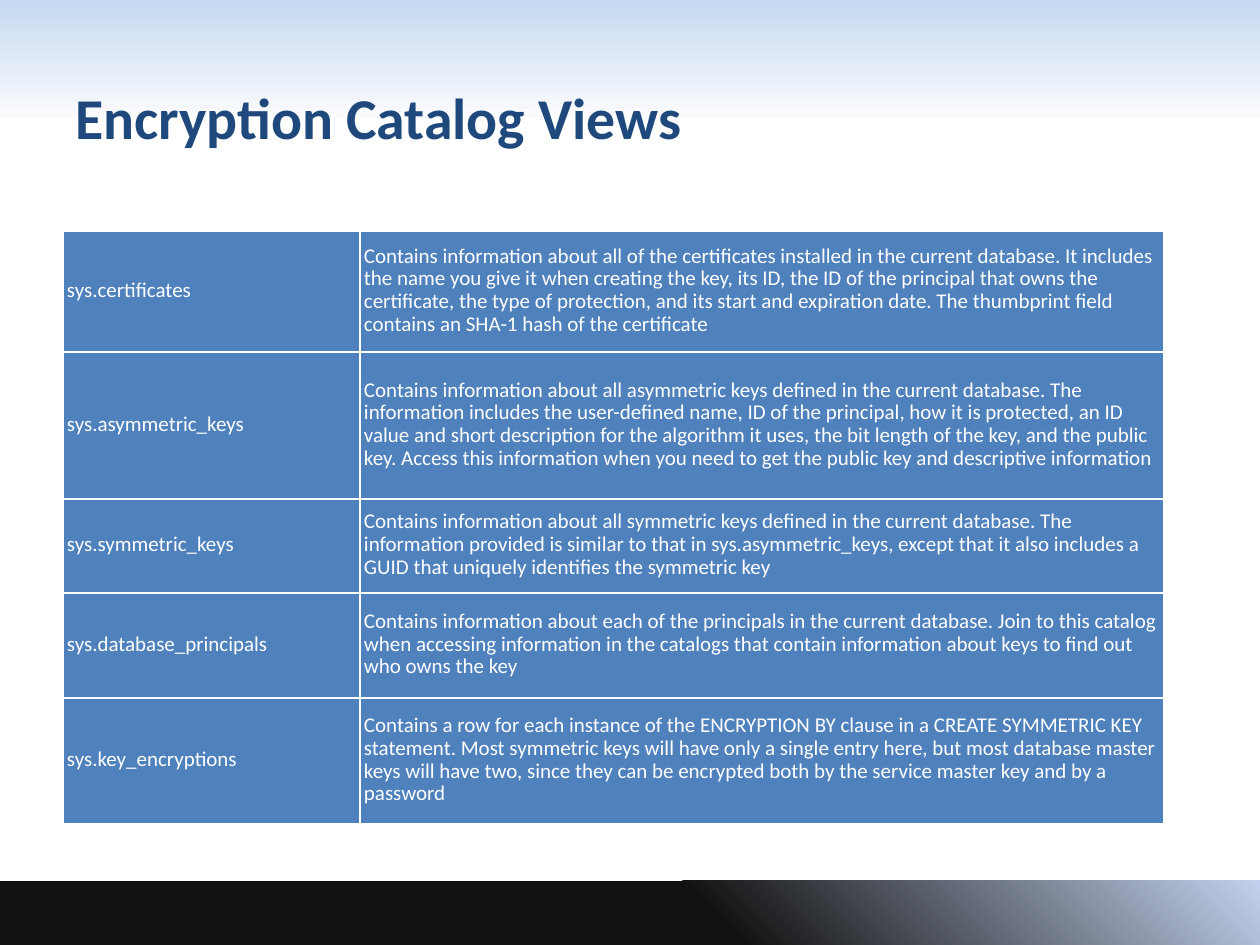
import pptx
import pptx.dml.color
import pptx.enum.shapes
import pptx.enum.text
import pptx.oxml
import pptx.oxml.ns
import pptx.util

# Content: catalog view, description, row height in px
TITLE = "Encryption Catalog Views"
VIEWS = [
    ("sys.certificates",
     "Contains information about all of the certificates installed in the current database. "
     "It includes the name you give it when creating the key, its ID, the ID of the principal "
     "that owns the certificate, the type of protection, and its start and expiration date. "
     "The thumbprint field contains an SHA-1 hash of the certificate", 121),
    ("sys.asymmetric_keys",
     "Contains information about all asymmetric keys defined in the current database. "
     "The information includes the user-defined name, ID of the principal, how it is protected, "
     "an ID value and short description for the algorithm it uses, the bit length of the key, "
     "and the public key. Access this information when you need to get the public key and "
     "descriptive information", 147),
    ("sys.symmetric_keys",
     "Contains information about all symmetric keys defined in the current database. "
     "The information provided is similar to that in sys.asymmetric_keys, except that it also "
     "includes a GUID that uniquely identifies the symmetric key", 94),
    ("sys.database_principals",
     "Contains information about each of the principals in the current database. Join to this "
     "catalog when accessing information in the catalogs that contain information about keys "
     "to find out who owns the key", 105),
    ("sys.key_encryptions",
     "Contains a row for each instance of the ENCRYPTION BY clause in a CREATE SYMMETRIC KEY "
     "statement. Most symmetric keys will have only a single entry here, but most database "
     "master keys will have two, since they can be encrypted both by the service master key "
     "and by a password", 126),
]
COLUMNS = (297, 804)
TABLE_AT = (63, 231)
TITLE_BOX = (63, 38, 1134, 157)

# Bands: box in px, (position, colour) stops, counter-clockwise angle
BANDS = [
    ((0, 0, 1260, 118), ((0, "C6D9F1"), (1, "FAFBFD")), 270),
    ((0, 881, 1260, 64), ((0.56, "111111"), (1, "C2D1ED")), 45),
]

THEME = {
    "title": {"name": "Calibri", "size": 33, "bold": True, "color": "1F497D"},
    "cell": {"name": "Calibri", "size": 12, "bold": False, "color": "FFFFFF"},
    "cell_fill": "4F81BD",
    "border": "FFFFFF",
}


def px(length):
    return pptx.util.Emu(length * 914400 // 126)


def rgb(code):
    return pptx.dml.color.RGBColor.from_string(code)


def set_all(target, values):
    for name, value in values.items():
        setattr(target, name, value)


def set_font(font, style):
    set_all(font, {"name": style["name"], "size": pptx.util.Pt(style["size"]),
                   "bold": style["bold"]})
    font.color.rgb = rgb(style["color"])


def add_band(slide, box, stops, angle):
    band = slide.shapes.add_shape(
        pptx.enum.shapes.MSO_SHAPE.RECTANGLE, *map(px, box))
    band.shadow.inherit = False
    band.line.fill.background()
    band.fill.gradient()
    band.fill.gradient_angle = angle
    for stop, (position, color) in zip(band.fill.gradient_stops, stops):
        stop.color.rgb = rgb(color)
        stop.position = position


def add_borders(cell):
    # Borders come before the fill in the cell properties
    properties = cell._tc.get_or_add_tcPr()
    for index, side in enumerate(("lnL", "lnR", "lnT", "lnB")):
        properties.insert(index, pptx.oxml.parse_xml(
            f'<a:{side} {pptx.oxml.ns.nsdecls("a")} w="12700"><a:solidFill>'
            f'<a:srgbClr val="{THEME["border"]}"/></a:solidFill></a:{side}>'))


def fill_cell(cell, text):
    cell.text = text
    set_all(cell, {"margin_left": px(4), "margin_right": px(4),
                   "margin_top": 0, "margin_bottom": 0,
                   "vertical_anchor": pptx.enum.text.MSO_ANCHOR.MIDDLE})
    cell.fill.solid()
    cell.fill.fore_color.rgb = rgb(THEME["cell_fill"])
    add_borders(cell)
    paragraph = cell.text_frame.paragraphs[0]
    set_all(paragraph, {"line_spacing": pptx.util.Pt(13), "space_after": pptx.util.Pt(3)})
    set_font(paragraph.runs[0].font, THEME["cell"])


def main():
    deck = pptx.Presentation()
    set_all(deck, {"slide_width": px(1260), "slide_height": px(945)})
    slide = deck.slides.add_slide(deck.slide_layouts[5])

    # Background bands
    for band in BANDS:
        add_band(slide, *band)

    # Title, brought in front of the bands
    heading = slide.shapes.title
    set_all(heading, dict(zip(("left", "top", "width", "height"), map(px, TITLE_BOX))))
    heading.text_frame.text = TITLE
    heading.text_frame.vertical_anchor = pptx.enum.text.MSO_ANCHOR.MIDDLE
    title_line = heading.text_frame.paragraphs[0]
    title_line.alignment = pptx.enum.text.PP_ALIGN.LEFT
    set_font(title_line.runs[0].font, THEME["title"])
    slide.shapes._spTree.append(heading._element)

    # Table of catalog views
    heights = [height for _, _, height in VIEWS]
    views = slide.shapes.add_table(
        len(VIEWS), len(COLUMNS), *map(px, (*TABLE_AT, sum(COLUMNS), sum(heights)))).table
    set_all(views, {"first_row": False, "horz_banding": False})
    for column, width in zip(views.columns, COLUMNS):
        column.width = px(width)
    for row, (view, description, height) in zip(views.rows, VIEWS):
        row.height = px(height)
        for cell, text in zip(row.cells, (view, description)):
            fill_cell(cell, text)

    deck.save("out.pptx")


if __name__ == "__main__":
    main()
